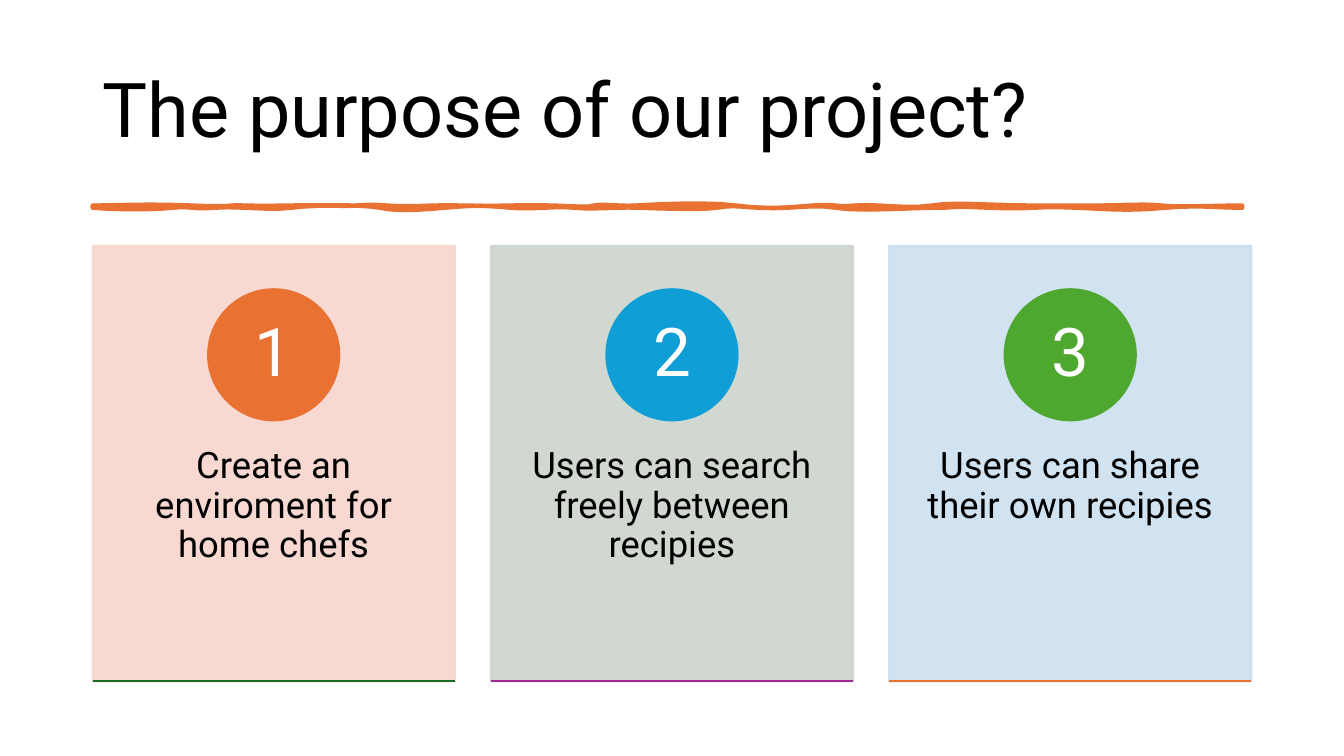
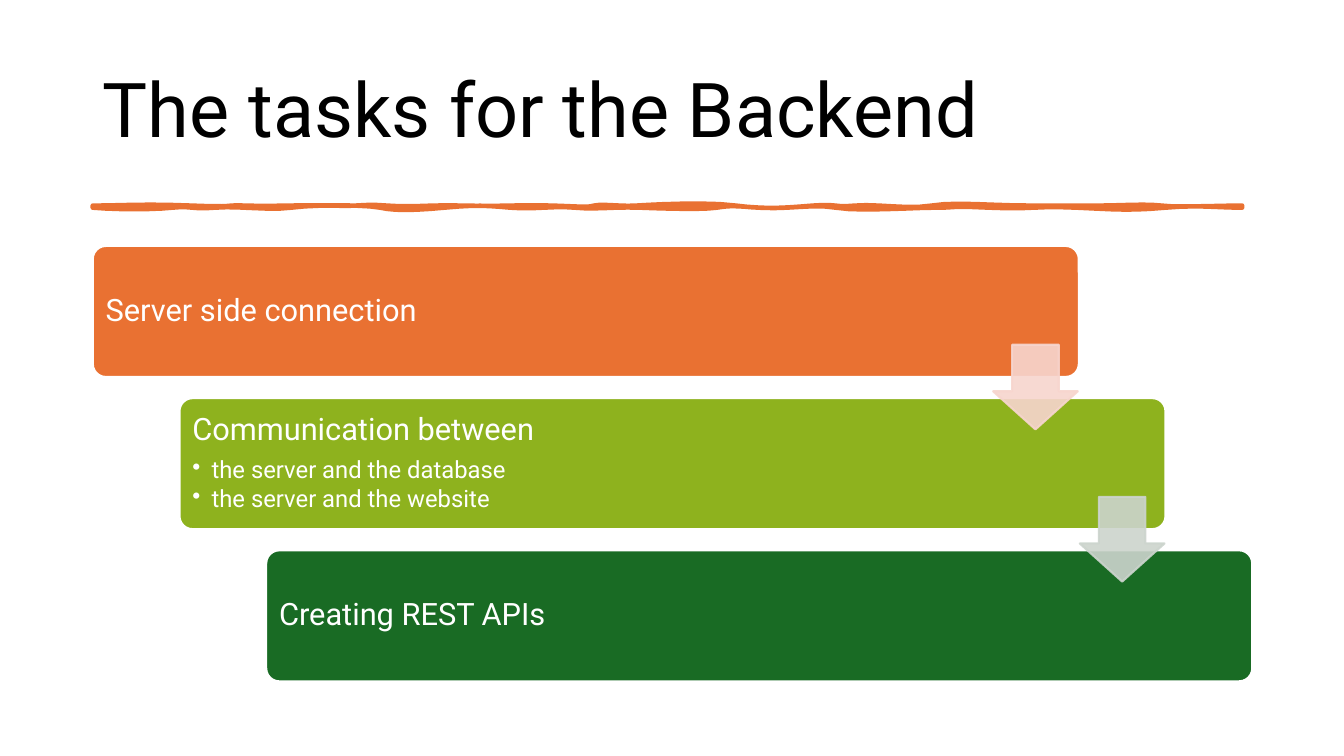
from lxml.etree import SubElement
from pptx import Presentation
from pptx.dml.color import RGBColor
from pptx.enum.shapes import MSO_CONNECTOR as Connector, MSO_SHAPE as Shape
from pptx.enum.text import MSO_ANCHOR as Anchor, MSO_AUTO_SIZE as AutoSize, PP_ALIGN as Align
from pptx.oxml.ns import qn
from pptx.util import Inches, Pt

FONT = "Roboto"
COLORS = {
    "black": "000000", "white": "FFFFFF", "orange": "E97132", "blue": "0F9ED5",
    "green": "4EA72E", "dark green": "196B24", "purple": "A02B93", "lime": "8EB21E",
    "pale red": "F7D5CE", "pale gray": "CCD4CD", "pale blue": "CCDFEF",
}
LEFT = 0.92
CONTENT_TOP = 2.44
CONTENT_BOTTOM = 6.76

# Hand-drawn rule: x where each curve ends, with its two control points
RULE_TOP, RULE_BOTTOM, RULE_RIGHT = 2.04, 2.06, 12.32
TOP_CURVES = [
    (1.19, 2.04, 1.44, 2.02, 1.9), (2.37, 2.06, 2.2, 2.03, 2.44),
    (2.67, 2.05, 3.03, 2.03, 3.31), (3.6, 2.05, 3.59, 2.02, 3.84),
    (4.1, 2.06, 4.23, 2.03, 4.6), (4.98, 2.05, 5.14, 2.03, 5.48),
    (5.81, 2.05, 5.81, 2.06, 5.89), (5.98, 2.02, 6.15, 2.05, 6.31),
    (6.47, 2.03, 7.01, 2.0, 7.3), (7.59, 2.08, 7.81, 2.06, 8.06),
    (8.31, 2.02, 8.27, 2.06, 8.48), (8.68, 2.02, 9.01, 2.08, 9.24),
    (9.47, 2.0, 9.82, 2.04, 10.23), (10.63, 2.04, 10.63, 2.04, 10.87),
    (11.12, 2.04, 11.36, 2.02, 11.52), (11.68, 2.06, 12.03, 2.04, RULE_RIGHT),
]
BOTTOM_CURVES = [
    (12.05, 2.06, 11.89, 2.03, 11.56), (11.22, 2.09, 11.1, 2.08, 10.68),
    (10.27, 2.04, 10.23, 2.08, 9.81), (9.39, 2.04, 9.52, 2.06, 9.28),
    (9.04, 2.06, 8.51, 2.1, 8.29), (8.06, 2.02, 7.82, 2.08, 7.53),
    (7.24, 2.04, 7.25, 2.04, 7.11), (6.98, 2.08, 6.61, 2.07, 6.35),
    (6.09, 2.05, 5.9, 2.08, 5.7), (5.51, 2.04, 5.28, 2.08, 5.06),
    (4.83, 2.04, 4.73, 2.03, 4.41), (4.09, 2.09, 3.9, 2.09, 3.77),
    (3.63, 2.03, 3.1, 2.03, 2.89), (2.68, 2.09, 2.35, 2.04, 2.13),
    (1.92, 2.08, 1.89, 2.04, 1.71), (1.54, 2.08, 1.14, 2.08, LEFT),
]

CARDS = [
    ("Create an enviroment for home chefs", "pale red", "orange", "dark green"),
    ("Users can search freely between recipies", "pale gray", "blue", "purple"),
    ("Users can share their own recipies", "pale blue", "green", "orange"),
]
STEPS = [
    ("Server side connection", [], "orange"),
    ("Communication between",
     ["the server and the database", "the server and the website"], "lime"),
    ("Creating REST APIs", [], "dark green"),
]


def color(name):
    return RGBColor.from_string(COLORS[name])


def paint(shape, fill, line=None, width=1.5, opacity=None):
    """Give a shape a flat fill and outline, without a shadow."""
    shape.shadow.inherit = False
    for format_fill, name in ((shape.fill, fill), (shape.line.fill, line or fill)):
        format_fill.solid()
        format_fill.fore_color.rgb = color(name)
    shape.line.width = Pt(width)
    if opacity:
        for tint in shape._element.spPr.iter(qn("a:srgbClr")):
            SubElement(tint, qn("a:alpha"), val=str(opacity * 1000))


def add_box(slide, kind, left, top, width, height, fill, **style):
    box = slide.shapes.add_shape(
        kind, Inches(left), Inches(top), Inches(width), Inches(height))
    paint(box, fill, **style)
    return box


def set_frame(frame, anchor, side, top, bottom):
    frame.word_wrap = True
    frame.auto_size = AutoSize.NONE
    frame.vertical_anchor = anchor
    frame.margin_left = frame.margin_right = Inches(side)
    frame.margin_top, frame.margin_bottom = Inches(top), Inches(bottom)


def write(para, text, size, ink, align=Align.LEFT, after=0.0):
    """Fill a paragraph; the space after is a share of the text size."""
    para.text = text
    para.alignment = align
    para.line_spacing = 0.9
    para.space_after = Pt(round(size * after, 1))
    for span in para.runs:
        span.font.name = FONT
        span.font.size = Pt(size)
        span.font.color.rgb = color(ink)


def add_bullet(para):
    props = para._p.get_or_add_pPr()
    props.set("marL", str(Inches(0.19)))
    props.set("indent", str(-Inches(0.19)))
    SubElement(props, qn("a:buChar"), char="•")


def trace(curves, start_x, y, parts=6):
    """Points along a chain of curves whose ends all lie at height y."""
    points = []
    for x1, y1, x2, y2, end_x in curves:
        for part in range(1, parts + 1):
            t = part / parts
            weights = ((1 - t) ** 3, 3 * t * (1 - t) ** 2, 3 * t * t * (1 - t), t ** 3)
            points.append(tuple(
                Inches(sum(w * v for w, v in zip(weights, values)))
                for values in ((start_x, x1, x2, end_x), (y, y1, y2, y))))
        start_x = end_x
    return points


def add_rule(slide):
    builder = slide.shapes.build_freeform(Inches(LEFT), Inches(RULE_TOP))
    builder.add_line_segments(trace(TOP_CURVES, LEFT, RULE_TOP), close=False)
    corner = [(Inches(RULE_RIGHT), Inches(RULE_BOTTOM))]
    builder.add_line_segments(corner + trace(BOTTOM_CURVES, RULE_RIGHT, RULE_BOTTOM))
    paint(builder.convert_to_shape(), "orange", width=3.25)


def add_titled_slide(deck, text):
    slide = deck.slides.add_slide(deck.slide_layouts[5])
    title = slide.shapes.title
    title.left, title.top = Inches(LEFT), Inches(0.4)
    title.width, title.height = Inches(11.5), Inches(1.45)
    set_frame(title.text_frame, Anchor.MIDDLE, 0.1, 0.05, 0.05)
    write(title.text_frame.paragraphs[0], text, 54, "black")
    add_rule(slide)
    return slide


def add_card(slide, index, text, back, accent, base):
    width, pitch, badge_size = 3.59, 3.95, 1.3
    left = LEFT + index * pitch
    card = add_box(slide, Shape.RECTANGLE, left, CONTENT_TOP, width,
                   CONTENT_BOTTOM - CONTENT_TOP, back, opacity=90)
    set_frame(card.text_frame, Anchor.TOP, 0.28, 2, 0.36)
    write(card.text_frame.paragraphs[0], text, 26, "black", Align.CENTER, 0.35)

    # Numbered badge
    badge = add_box(slide, Shape.OVAL, left + (width - badge_size) / 2, 2.87,
                    badge_size, badge_size, accent)
    set_frame(badge.text_frame, Anchor.MIDDLE, 0.1, 0.01, 0.01)
    write(badge.text_frame.paragraphs[0], str(index + 1), 48, "white", Align.CENTER, 0.35)

    # Base line
    line = slide.shapes.add_connector(
        Connector.STRAIGHT, Inches(left), Inches(CONTENT_BOTTOM),
        Inches(left + width), Inches(CONTENT_BOTTOM))
    line.line.color.rgb = color(base)
    line.line.width = Pt(1.5)
    SubElement(line._element.spPr, qn("a:effectLst"))


def add_step(slide, left, top, heading, details, fill):
    step = add_box(slide, Shape.ROUNDED_RECTANGLE, left, top, 9.78, 1.3, fill, line="white")
    step.adjustments[0] = 0.1
    frame = step.text_frame
    set_frame(frame, Anchor.MIDDLE, 0.09, 0.13, 0.13)
    write(frame.paragraphs[0], heading, 22, "white", after=0.35)
    for detail in details:
        para = frame.add_paragraph()
        write(para, detail, 17, "white", after=0.15)
        add_bullet(para)


def add_arrow(slide, left, top, fill):
    arrow = add_box(slide, Shape.DOWN_ARROW, left, top, 0.84, 0.84, fill, opacity=90)
    arrow.adjustments[0], arrow.adjustments[1] = 0.55, 0.45


def build_purpose(deck):
    slide = add_titled_slide(deck, "The purpose of our project?")
    for index, card in enumerate(CARDS):
        add_card(slide, index, *card)


def build_backend(deck):
    slide = add_titled_slide(deck, "The tasks for the Backend")
    shift, drop = 0.86, 1.51
    for index, step in enumerate(STEPS):
        add_step(slide, LEFT + index * shift, CONTENT_TOP + index * drop, *step)
    for index, fill in enumerate(("pale red", "pale gray")):
        add_arrow(slide, 9.85 + index * shift, 3.42 + index * drop, fill)


def main():
    deck = Presentation()
    deck.slide_width, deck.slide_height = Inches(13.33), Inches(7.5)
    build_purpose(deck)
    build_backend(deck)
    deck.save("out.pptx")


if __name__ == "__main__":
    main()
